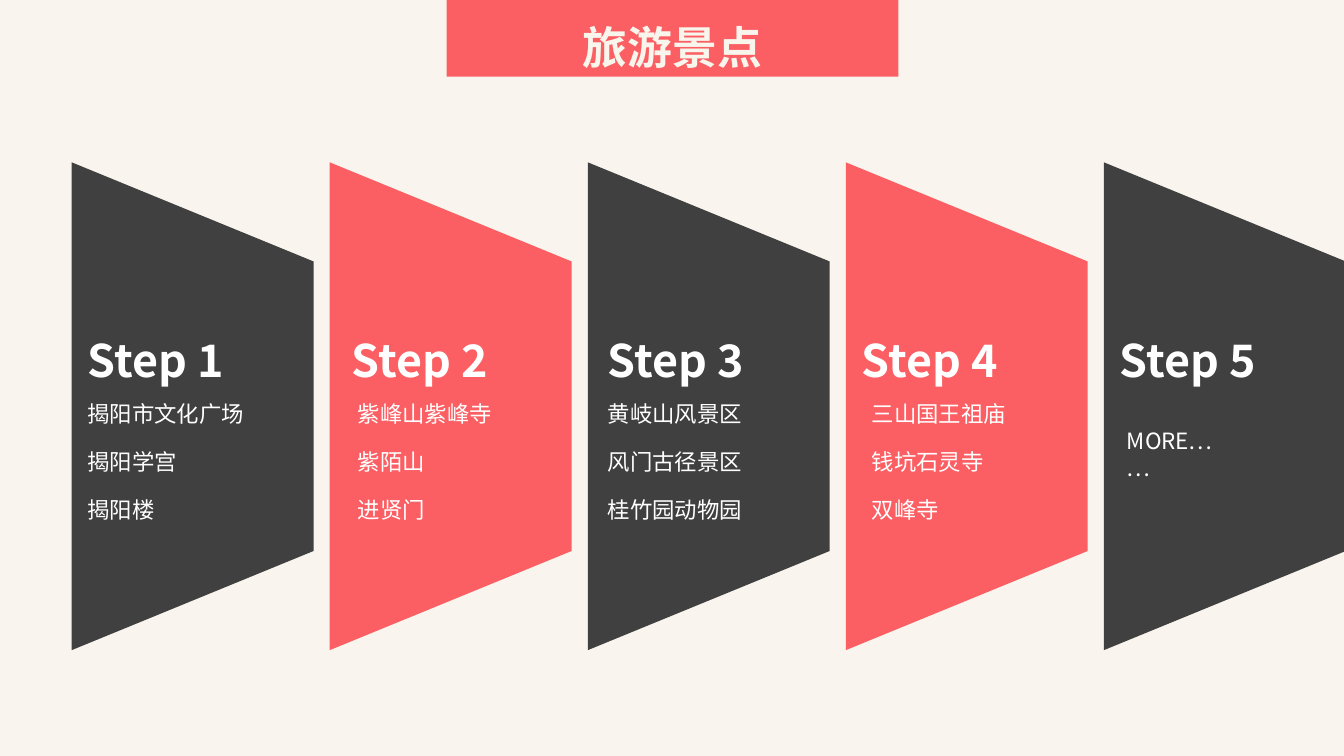
"""Build a slide of five trapezoid steps listing tourist sights."""
from dataclasses import dataclass

from lxml import etree
from pptx import Presentation
from pptx.dml.color import RGBColor
from pptx.enum.shapes import MSO_SHAPE
from pptx.enum.text import MSO_ANCHOR, PP_ALIGN
from pptx.oxml.ns import qn
from pptx.slide import Slide
from pptx.util import Inches, Length, Pt

RECTANGLE = MSO_SHAPE.RECTANGLE
TRAPEZOID = MSO_SHAPE.TRAPEZOID
TOP, MIDDLE = MSO_ANCHOR.TOP, MSO_ANCHOR.MIDDLE
LEFT, CENTER = PP_ALIGN.LEFT, PP_ALIGN.CENTER

WIDTH, HEIGHT = Inches(13.33), Inches(7.5)
FONT = "Noto Sans CJK SC"
COLORS = {
    "background": "F9F5EE",
    "title": "F8F5ED",
    "coral": "FB5F63",
    "charcoal": "404040",
    "white": "FFFFFF",
}
FIRST_COLUMN, COLUMN_PITCH = 5.33, 19.2
SLANT = 0.41


@dataclass(frozen=True)
class Box:
    """Hold a position and size in percent of the slide."""

    left: float
    top: float
    width: float
    height: float

    def lengths(self) -> tuple[Length, Length, Length, Length]:
        """Convert the percentages to slide lengths."""
        return (
            Length(round(WIDTH * self.left / 100)),
            Length(round(HEIGHT * self.top / 100)),
            Length(round(WIDTH * self.width / 100)),
            Length(round(HEIGHT * self.height / 100)),
        )


@dataclass(frozen=True)
class Step:
    """Describe a step; indents are percent of the slide width."""

    sights: tuple[str, ...]
    label_indent: float
    sights_indent: float
    sights_top: float = 52.27
    sights_width: float = 13.43


TITLE_BAND = Box(33.23, 0, 33.61, 10.13)
STEPS = (
    Step(("揭阳市文化广场", "揭阳学宫", "揭阳楼"), 0.45, 0.45),
    Step(("紫峰山紫峰寺", "紫陌山", "进贤门"), 0.9, 1.35),
    Step(("黄岐山风景区", "风门古径景区", "桂竹园动物园"), 0.75, 0.75),
    Step(("三山国王祖庙", "钱坑石灵寺", "双峰寺"), 0.45, 1.2),
    Step(("MORE……",), 0.45, 0.98, 55.87, 9.3),
)


def color(name: str) -> RGBColor:
    """Look up a named colour."""
    return RGBColor.from_string(COLORS[name])


def add_panel(slide: Slide, box: Box, fill: str) -> None:
    """Draw a plain filled rectangle."""
    shape = slide.shapes.add_shape(RECTANGLE, *box.lengths())
    shape.shadow.inherit = False
    shape.fill.solid()
    shape.fill.fore_color.rgb = color(fill)
    shape.line.fill.background()


def add_trapezoid(slide: Slide, box: Box, fill: str) -> None:
    """Draw a trapezoid turned to narrow rightwards within the box."""
    left, top, width, height = box.lengths()
    shift = (height - width) // 2
    shape = slide.shapes.add_shape(TRAPEZOID, left - shift, top + shift, height, width)
    shape.rotation = 90
    shape.adjustments[0] = SLANT
    shape.shadow.inherit = False
    shape.fill.solid()
    shape.fill.fore_color.rgb = color(fill)
    shape.line.fill.background()


def add_text(
    slide: Slide,
    box: Box,
    lines: tuple[str, ...],
    *,
    size: float,
    fill: str = "white",
    bold: bool = False,
    align: PP_ALIGN = LEFT,
    anchor: MSO_ANCHOR = TOP,
    spacing: float = 1.0,
    first_gap: float = 0,
    gap: float = 0,
) -> None:
    """Write one paragraph per line in a wrapping text box."""
    frame = slide.shapes.add_textbox(*box.lengths()).text_frame
    frame.word_wrap = True
    frame.vertical_anchor = anchor
    for index, line in enumerate(lines):
        paragraph = frame.add_paragraph() if index else frame.paragraphs[0]
        paragraph.alignment = align
        paragraph.line_spacing = spacing
        paragraph.space_before = Pt(gap if index else first_gap)
        run = paragraph.add_run()
        run.text = line
        run.font.size = Pt(size)
        run.font.bold = bold
        run.font.color.rgb = color(fill)
        run.font.name = FONT
        properties = run.font._element if hasattr(run.font, "_element") else run._r.get_or_add_rPr()
        etree.SubElement(properties, qn("a:ea")).set("typeface", FONT)


def add_step(slide: Slide, index: int, step: Step) -> None:
    """Draw one step with its label and sights."""
    left = FIRST_COLUMN + index * COLUMN_PITCH
    fill = "coral" if index % 2 else "charcoal"
    add_trapezoid(slide, Box(left, 21.47, 18, 64.53), fill)
    label_box = Box(left + step.label_indent, 43.33, 12.08, 8.53)
    add_text(slide, label_box, (f"Step {index + 1}",), size=32, bold=True)
    sights_box = Box(left + step.sights_indent, step.sights_top, step.sights_width, 19.33)
    add_text(slide, sights_box, step.sights, size=16, gap=15)


def main() -> None:
    """Build and save the presentation."""
    presentation = Presentation()
    presentation.slide_width, presentation.slide_height = WIDTH, HEIGHT
    slide = presentation.slides.add_slide(presentation.slide_layouts[6])
    slide.background.fill.solid()
    slide.background.fill.fore_color.rgb = color("background")
    add_panel(slide, TITLE_BAND, "coral")
    add_text(
        slide, TITLE_BAND, ("旅游景点",), size=32, fill="title", bold=True,
        align=CENTER, anchor=MIDDLE, spacing=1.3, first_gap=10,
    )
    for index, step in enumerate(STEPS):
        add_step(slide, index, step)
    presentation.save("out.pptx")


if __name__ == "__main__":
    main()
